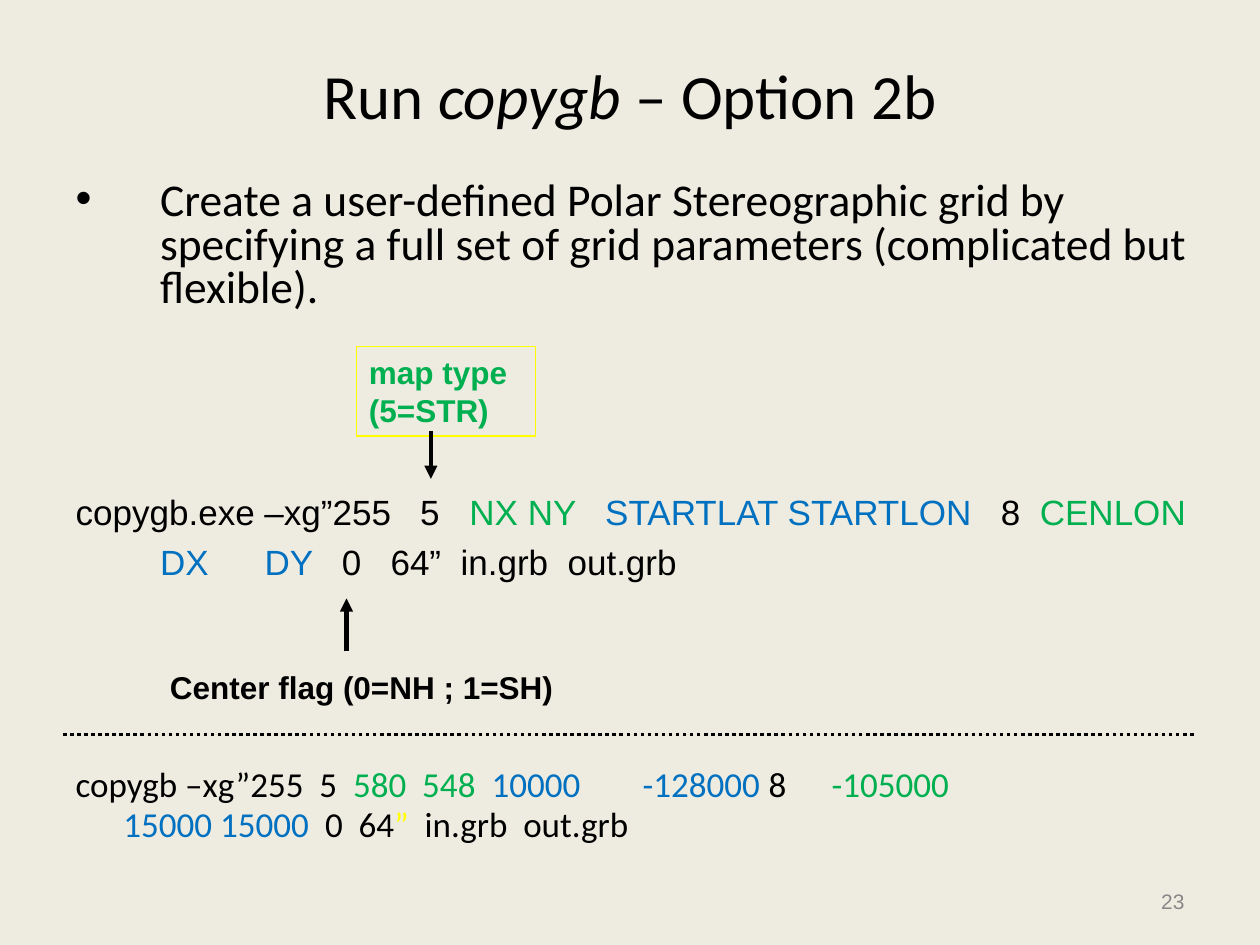
from dataclasses import dataclass
from typing import Optional

from lxml import etree
from pptx import Presentation
from pptx import util as u
from pptx.dml.color import RGBColor
from pptx.enum import dml, shapes, text
from pptx.oxml import ns

Inches, Pt = u.Inches, u.Pt
COLORS = {"paper": "EEECE1", "black": "000000", "green": "00B050",
          "blue": "0070C0", "yellow": "FFFF00", "gray": "888888"}


@dataclass
class Line:
    """A body paragraph made of (text, colour) pieces."""
    pieces: list
    size: int = 20
    font: str = "Calibri"
    spacing: float = 0.8
    before: float = 4
    margin: float = 0
    indent: float = 0
    bullet: bool = False
    tabs: tuple = ()


@dataclass
class Label:
    """A free text box; a border colour makes it a framed box."""
    lines: list
    box: tuple
    color: str
    size: int = 18
    bold: bool = True
    border: Optional[str] = None
    align: text.PP_ALIGN = text.PP_ALIGN.LEFT


@dataclass
class Rule:
    """A straight line, with an arrowhead or dotted."""
    start: tuple
    end: tuple
    width: float = 2.5
    arrow: bool = True


BODY = [
    Line([("Create a user-defined Polar Stereographic grid by specifying a full "
           "set of grid parameters (complicated but flexible).", "black")],
         size=26, before=0, margin=0.67, indent=-0.67, bullet=True),
    Line([("copygb.exe –xg”255   5   ", "black"), ("NX NY   ", "green"),
          ("STARTLAT STARTLON   ", "blue"), ("8  ", "black"), ("CENLON", "green")],
         font="Arial", spacing=1.2, before=97),
    Line([("DX\tDY   ", "blue"), ("0   64”  in.grb  out.grb", "black")],
         font="Arial", spacing=1.2, before=0, indent=0.67, tabs=(1.44,)),
    Line([("copygb –xg”255  5  ", "black"), ("580  548  ", "green"),
          ("10000\t-128000\t", "blue"), ("8\t", "black"), ("-105000", "green")],
         before=107, tabs=(4.5, 6.01, 6.4)),
    Line([("15000 15000  ", "blue"), ("0  64", "black"), ("”  ", "yellow"),
          ("in.grb  out.grb", "black")], indent=0.38),
]
LABELS = [
    Label(["map type", "(5=STR)"], (2.83, 2.75, 1.42, 0.71), "green", border="yellow"),
    Label(["Center flag (0=NH ; 1=SH)"], (1.25, 5.25, 3.42, 0.4), "black"),
    Label(["23"], (7.17, 6.95, 2.33, 0.4), "gray", size=12, bold=False,
          align=text.PP_ALIGN.RIGHT),
]
RULES = [
    Rule((3.42, 3.42), (3.42, 3.8)),
    Rule((0.5, 5.83), (9.5, 5.83), width=2, arrow=False),
    Rule((2.75, 5.17), (2.75, 4.75)),
]


def rgb(name: str) -> RGBColor:
    """Look a colour up by name."""
    return RGBColor.from_string(COLORS[name])


def add_xml(parent, tag: str, **attributes):
    """Append a DrawingML child element."""
    return etree.SubElement(parent, ns.qn(tag), attributes)


def place(shape, left: float, top: float, width: float, height: float) -> None:
    """Move and size a shape, in inches."""
    shape.left, shape.top = Inches(left), Inches(top)
    shape.width, shape.height = Inches(width), Inches(height)


def write_runs(paragraph, pieces: list) -> None:
    """Add one coloured run for each piece."""
    for wording, color in pieces:
        run = paragraph.add_run()
        run.text = wording
        run.font.color.rgb = rgb(color)


def write_line(paragraph, line: Line) -> None:
    """Fill and format one body paragraph."""
    properties = paragraph._p.get_or_add_pPr()
    properties.set("marL", str(Inches(line.margin)))
    properties.set("indent", str(Inches(line.indent)))
    if line.bullet:
        add_xml(add_xml(properties, "a:buClr"), "a:srgbClr", val=COLORS["black"])
        add_xml(properties, "a:buFont", typeface="Arial")
        add_xml(properties, "a:buChar", char="•")
    else:
        add_xml(properties, "a:buNone")
    if line.tabs:
        tab_list = add_xml(properties, "a:tabLst")
        for stop in line.tabs:
            add_xml(tab_list, "a:tab", pos=str(Inches(stop)), algn="l")
    paragraph.line_spacing = line.spacing
    paragraph.space_before = Pt(line.before)
    paragraph.font.size = Pt(line.size)
    paragraph.font.name = line.font
    write_runs(paragraph, line.pieces)


def write_title(title) -> None:
    """Fill the title, with the program name in italics."""
    place(title, 0.5, 0.25, 9, 1)
    paragraph = title.text_frame.paragraphs[0]
    paragraph.alignment = text.PP_ALIGN.CENTER
    paragraph.font.size = Pt(36)
    paragraph.font.name = "Calibri"
    write_runs(paragraph, [("Run ", "black"), ("copygb ", "black"),
                           ("– Option 2b", "black")])
    paragraph.runs[1].font.italic = True


def write_body(body) -> None:
    """Fill the body placeholder."""
    place(body, 0.5, 1.17, 9.08, 6.17)
    frame = body.text_frame
    frame.auto_size = text.MSO_AUTO_SIZE.NONE
    frame.margin_top = Inches(0.27)
    for index, line in enumerate(BODY):
        write_line(frame.add_paragraph() if index else frame.paragraphs[0], line)


def add_label(slide, label: Label) -> None:
    """Draw a label, framed if it has a border."""
    box = [Inches(value) for value in label.box]
    if label.border:
        shape = slide.shapes.add_shape(shapes.MSO_SHAPE.RECTANGLE, *box)
        shape.shadow.inherit = False
        shape.fill.background()
        shape.line.color.rgb = rgb(label.border)
        shape.line.width = Pt(0.75)
    else:
        shape = slide.shapes.add_textbox(*box)
    frame = shape.text_frame
    frame.word_wrap = True
    frame.vertical_anchor = text.MSO_ANCHOR.MIDDLE if label.size < 18 else text.MSO_ANCHOR.TOP
    for index, wording in enumerate(label.lines):
        paragraph = frame.add_paragraph() if index else frame.paragraphs[0]
        paragraph.alignment = label.align
        paragraph.font.size = Pt(label.size)
        paragraph.font.name = "Arial"
        paragraph.font.bold = label.bold
        write_runs(paragraph, [(wording, label.color)])


def add_rule(slide, rule: Rule) -> None:
    """Draw an arrow or a dotted line."""
    ends = [Inches(value) for value in rule.start + rule.end]
    connector = slide.shapes.add_connector(shapes.MSO_CONNECTOR.STRAIGHT, *ends)
    connector.line.color.rgb = rgb("black")
    connector.line.width = Pt(rule.width)
    if rule.arrow:
        add_xml(connector.line._get_or_add_ln(), "a:tailEnd", type="triangle")
    else:
        connector.line.dash_style = dml.MSO_LINE.ROUND_DOT
    add_xml(connector._element.spPr, "a:effectLst")


def main() -> None:
    """Build and save the slide."""
    presentation = Presentation()
    presentation.slide_width, presentation.slide_height = Inches(10), Inches(7.5)
    slide = presentation.slides.add_slide(presentation.slide_layouts[1])
    slide.background.fill.solid()
    slide.background.fill.fore_color.rgb = rgb("paper")
    write_title(slide.shapes.title)
    write_body(slide.placeholders[1])
    for label in LABELS:
        add_label(slide, label)
    for rule in RULES:
        add_rule(slide, rule)
    presentation.save("out.pptx")


main()
